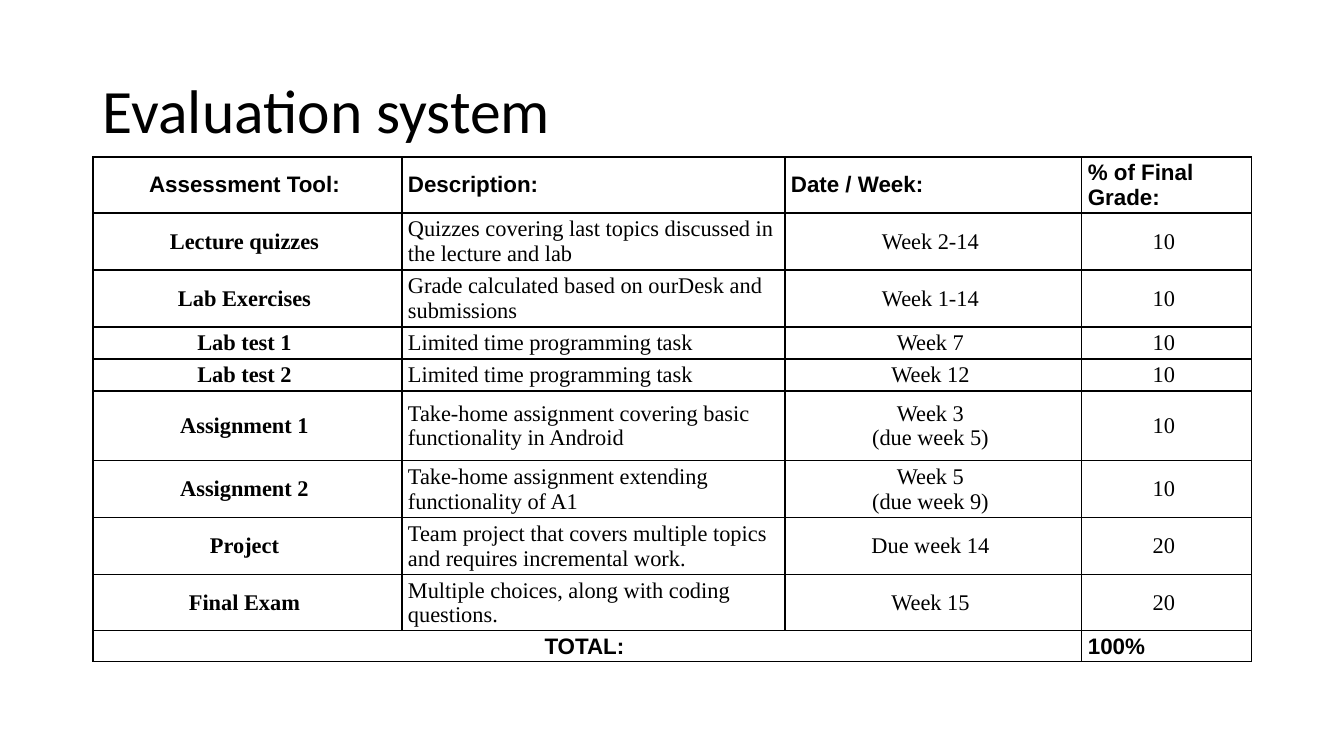
from lxml import etree
from pptx import Presentation
from pptx import util as u
from pptx.dml.color import RGBColor
from pptx.enum import text
from pptx.oxml.ns import qn

SCALE = 914400 / 100.8
HUES = {"ink": "000000", "paper": "FFFFFF"}
COLS = [309, 383, 297, 170]
ROWS = [56, 57, 57, 32, 32, 70, 57, 57, 56, 31]
GRADES = [
    ["Assessment Tool:", "Description:", "Date / Week:", "% of Final Grade:"],
    ["Lecture quizzes", "Quizzes covering last topics discussed in the lecture and lab", "Week 2-14", "10"],
    ["Lab Exercises", "Grade calculated based on ourDesk and submissions", "Week 1-14", "10"],
    ["Lab test 1", "Limited time programming task", "Week 7", "10"],
    ["Lab test 2", "Limited time programming task", "Week 12", "10"],
    ["Assignment 1", "Take-home assignment covering basic functionality in Android", "Week 3\n(due week 5)", "10"],
    ["Assignment 2", "Take-home assignment extending functionality of A1", "Week 5\n(due week 9)", "10"],
    ["Project", "Team project that covers multiple topics and requires incremental work.", "Due week 14", "20"],
    ["Final Exam", "Multiple choices, along with coding questions.", "Week 15", "20"],
    ["TOTAL:", "", "", "100%"],
]


def px(n):
    return u.Emu(round(n * SCALE))


def style(par, face, size, bold=False):
    font = par.font
    font.name, font.size, font.bold = face, u.Pt(size), bold
    font.color.rgb = RGBColor.from_string(HUES["ink"])


def border(cell):
    props = cell._tc.get_or_add_tcPr()
    for side in ("a:lnL", "a:lnR", "a:lnT", "a:lnB"):
        line = etree.SubElement(props, qn(side), w=str(u.Pt(1)))
        fill = etree.SubElement(line, qn("a:solidFill"))
        etree.SubElement(fill, qn("a:srgbClr"), val=HUES["ink"])


def title(slide, box, words):
    frame = slide.shapes.add_textbox(*map(px, box)).text_frame
    frame.word_wrap = True
    frame.vertical_anchor = text.MSO_ANCHOR.MIDDLE
    par = frame.paragraphs[0]
    par.text = words
    par.line_spacing = 0.9
    style(par, "Calibri", 44)


def fill_cell(cell, words, edge, first, center):
    cell.margin_left = px(6)
    cell.margin_right = px(12 if center else 6)
    cell.margin_top = cell.margin_bottom = px(1)
    cell.vertical_anchor = text.MSO_ANCHOR.MIDDLE
    border(cell)
    cell.fill.solid()
    cell.fill.fore_color.rgb = RGBColor.from_string(HUES["paper"])
    cell.text_frame.text = words
    for par in cell.text_frame.paragraphs:
        par.alignment = text.PP_ALIGN.CENTER if center else text.PP_ALIGN.LEFT
        style(par, "Arial" if edge else "Times New Roman", 16, edge or first)


def grades(slide, box):
    grid = slide.shapes.add_table(len(ROWS), len(COLS), *map(px, box)).table
    grid.first_row = grid.horz_banding = False
    for col, wide in zip(grid.columns, COLS):
        col.width = px(wide)
    for row, tall in zip(grid.rows, ROWS):
        row.height = px(tall)
    last = len(ROWS) - 1
    for r, line in enumerate(GRADES):
        edge = r in (0, last)
        for c, words in enumerate(line):
            center = c == 0 or (c > 1 and not edge)
            fill_cell(grid.cell(r, c), words, edge, c == 0, center)
    grid.cell(last, 0).merge(grid.cell(last, 2))


def main():
    """Build the evaluation system slide."""
    deck = Presentation()
    deck.slide_width, deck.slide_height = px(1344), px(756)
    slide = deck.slides.add_slide(deck.slide_layouts[6])
    title(slide, (93, 41, sum(COLS), 146), "Evaluation system")
    grades(slide, (93, 157, sum(COLS), sum(ROWS)))
    deck.save("out.pptx")


if __name__ == "__main__":
    main()
